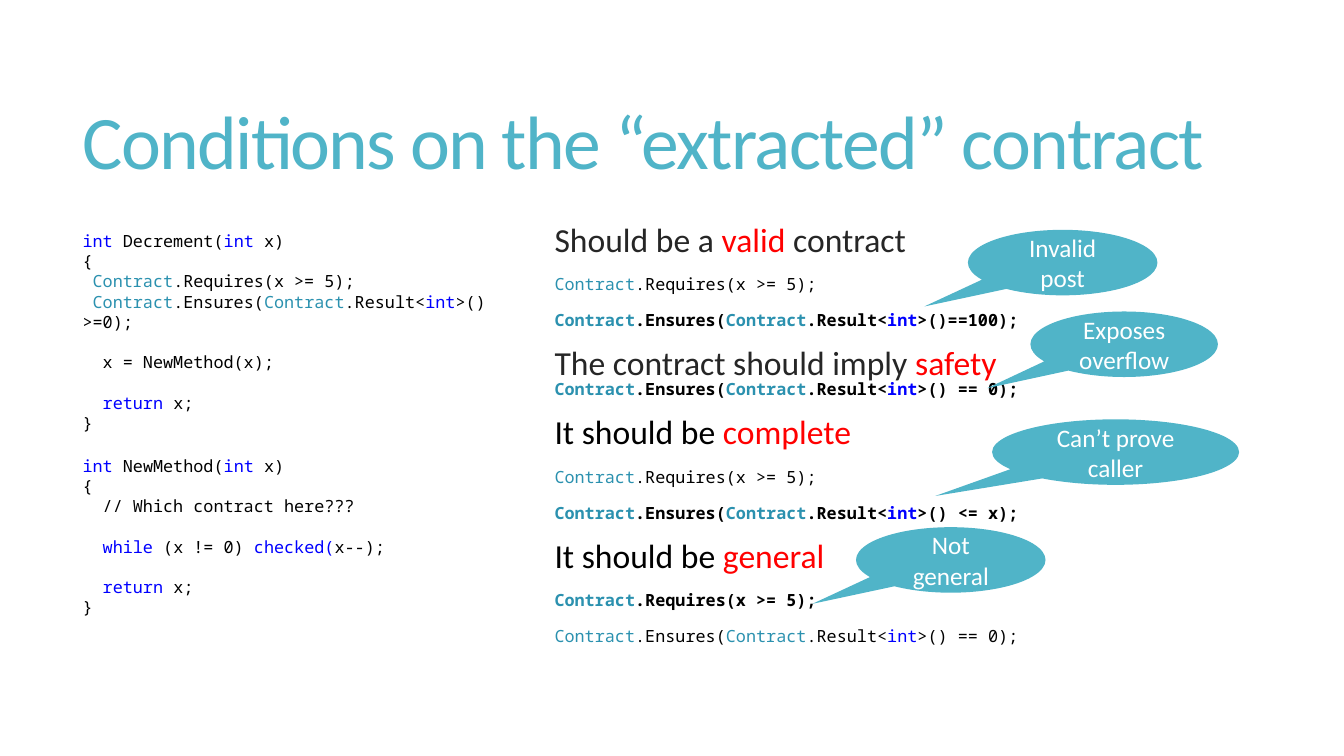
"""Builds the slide on conditions for an extracted contract."""
from pptx import Presentation
from pptx.dml.color import RGBColor
from pptx.enum.shapes import MSO_SHAPE as Shape
from pptx.enum.text import MSO_ANCHOR as Anchor, MSO_AUTO_SIZE as AutoSize, PP_ALIGN as Align
from pptx.util import Pt

PX = 9144
COLORS = {
    "accent": "50B4C8", "text": "262626", "stress": "FF0000", "code": "000000",
    "type": "2B91AF", "keyword": "0000FF", "white": "FFFFFF",
}
PROSE, MONO = "Calibri", "Noto Sans Mono"


def add_runs(paragraph, pieces, face, size, bold=False):
    for words, color in pieces:
        run = paragraph.add_run()
        run.text = words
        run.font.name = face
        run.font.size = Pt(size)
        run.font.bold = bold
        run.font.color.rgb = RGBColor.from_string(COLORS[color])
    return paragraph


def ensures(ending, lead=""):
    return [(lead + "Contract", "type"), (".Ensures(", "code"), ("Contract", "type"),
            (".Result<", "code"), ("int", "keyword"), (ending, "code")]


prs = Presentation()
prs.slide_width, prs.slide_height = 1333 * PX, 750 * PX
slide = prs.slides.add_slide(prs.slide_layouts[5])

title = slide.shapes.title
title.left, title.top, title.width, title.height = [n * PX for n in (72, 55, 1178, 181)]
title_frame = title.text_frame
title_frame.auto_size = AutoSize.NONE
title_frame.vertical_anchor = Anchor.MIDDLE
heading = add_runs(title_frame.paragraphs[0],
                   [("Conditions on the “extracted” contract", "accent")], PROSE, 54)
heading.alignment = Align.LEFT
heading.line_spacing = 0.85
heading.runs[0].font._element.set("spc", "-120")

requires = [("Contract", "type"), (".Requires(x >= 5);", "code")]
conditions = [
    [([("Should be a ", "text"), ("valid", "stress"), (" contract", "text")], PROSE, 24, False)],
    [(requires, MONO, 12, False)],
    [(ensures(">()==100);"), MONO, 12, True)],
    [([("The contract should imply ", "text"), ("safety ", "stress")], PROSE, 24, False),
     (ensures(">() == 0);"), MONO, 12, True)],
    [([("It should be ", "code"), ("complete", "stress")], PROSE, 24, False)],
    [(requires, MONO, 12, False)],
    [(ensures(">() <= x);"), MONO, 12, True)],
    [([("It should be ", "code"), ("general", "stress")], PROSE, 24, False)],
    [(requires, MONO, 12, True)],
    [(ensures(">() == 0);"), MONO, 12, False)],
]
conditions_frame = slide.shapes.add_textbox(530 * PX, 218 * PX, 637 * PX, 517 * PX).text_frame
conditions_frame.word_wrap = True
conditions_frame.margin_left = 20 * PX
for index, parts in enumerate(conditions):
    paragraph = conditions_frame.add_paragraph() if index else conditions_frame.paragraphs[0]
    paragraph.line_spacing = 0.85
    paragraph.space_before = Pt(13 if index else 0)
    for part in parts:
        add_runs(paragraph, *part)

return_line = [("  return", "keyword"), (" x;", "code")]
methods = [
    (224, 458, 192, [
        (0, [("int ", "keyword"), ("Decrement(", "code"), ("int", "keyword"), (" x)", "code")]),
        (0, [("{", "code")]),
        (0, [(" Contract", "type"), (".Requires(x >= 5);", "code")]),
        (0, ensures(">() >=0);", " ")),
        (14.5, [("  x = NewMethod(x);", "code")]),
        (14.5, return_line),
        (0, [("}", "code")]),
    ]),
    (447, 475, 172, [
        (0, [("int ", "keyword"), ("NewMethod(", "code"), ("int", "keyword"), (" x)", "code")]),
        (0, [("{", "code")]),
        (0, [("  // Which contract here???", "code")]),
        (14.5, [("  while", "keyword"), (" (x != 0) ", "code"), ("checked(", "keyword"),
                ("x--);", "code")]),
        (14.5, return_line),
        (0, [("}", "code")]),
    ]),
]
for top, width, height, lines in methods:
    method_frame = slide.shapes.add_textbox(72 * PX, top * PX, width * PX, height * PX).text_frame
    method_frame.word_wrap = True
    for index, (gap, pieces) in enumerate(lines):
        paragraph = method_frame.add_paragraph() if index else method_frame.paragraphs[0]
        paragraph.space_before = Pt(gap)
        add_runs(paragraph, pieces, MONO, 12)

objections = [
    ("Invalid post", 960, 228, 188),
    ("Exposes overflow", 1022, 309, 186),
    ("Can’t prove caller", 984, 416, 245),
    ("Not general", 849, 523, 188),
]
for words, left, top, width in objections:
    callout = slide.shapes.add_shape(Shape.OVAL_CALLOUT, left * PX, top * PX, width * PX, 65 * PX)
    callout.adjustments[0], callout.adjustments[1] = -0.73, 0.67
    callout.shadow.inherit = False
    callout.fill.solid()
    callout.fill.fore_color.rgb = RGBColor.from_string(COLORS["accent"])
    callout.line.fill.background()
    callout.text_frame.word_wrap = True
    callout.text_frame.vertical_anchor = Anchor.MIDDLE
    paragraph = add_runs(callout.text_frame.paragraphs[0], [(words, "white")], PROSE, 18)
    paragraph.alignment = Align.CENTER

prs.save("out.pptx")
